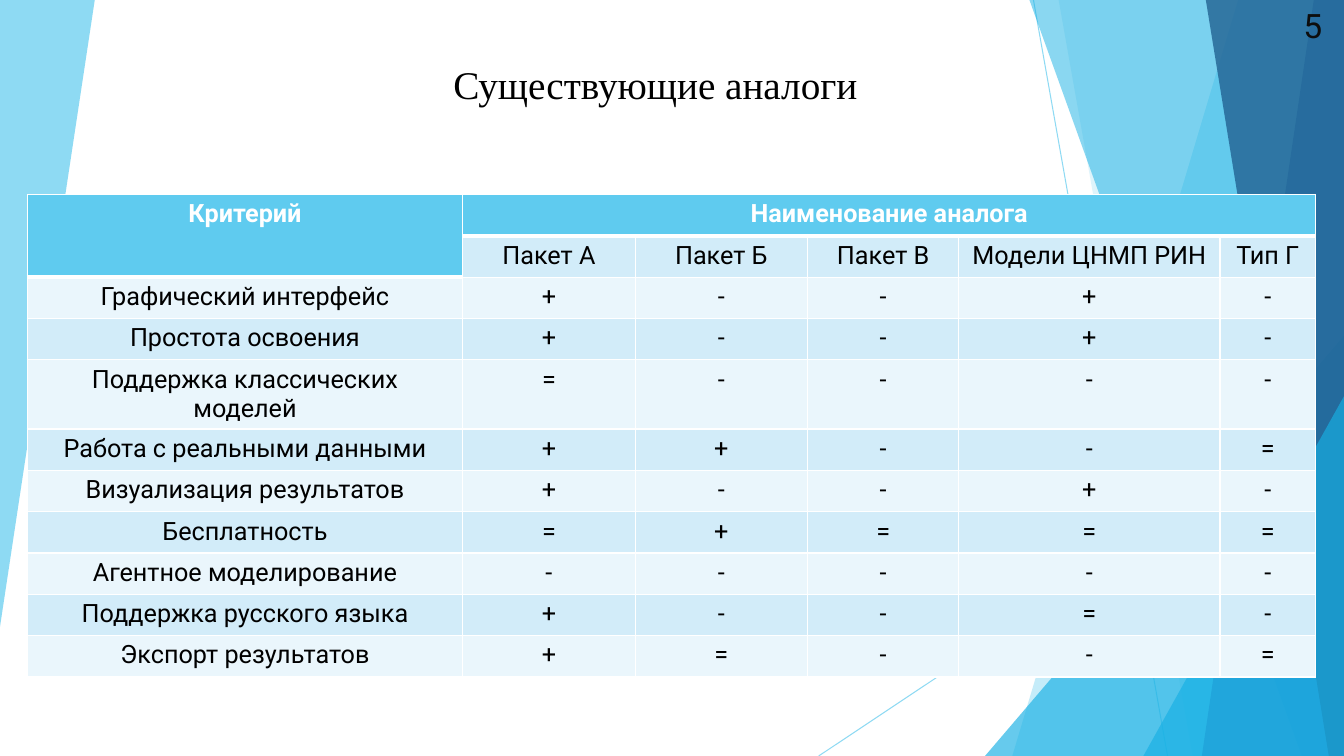
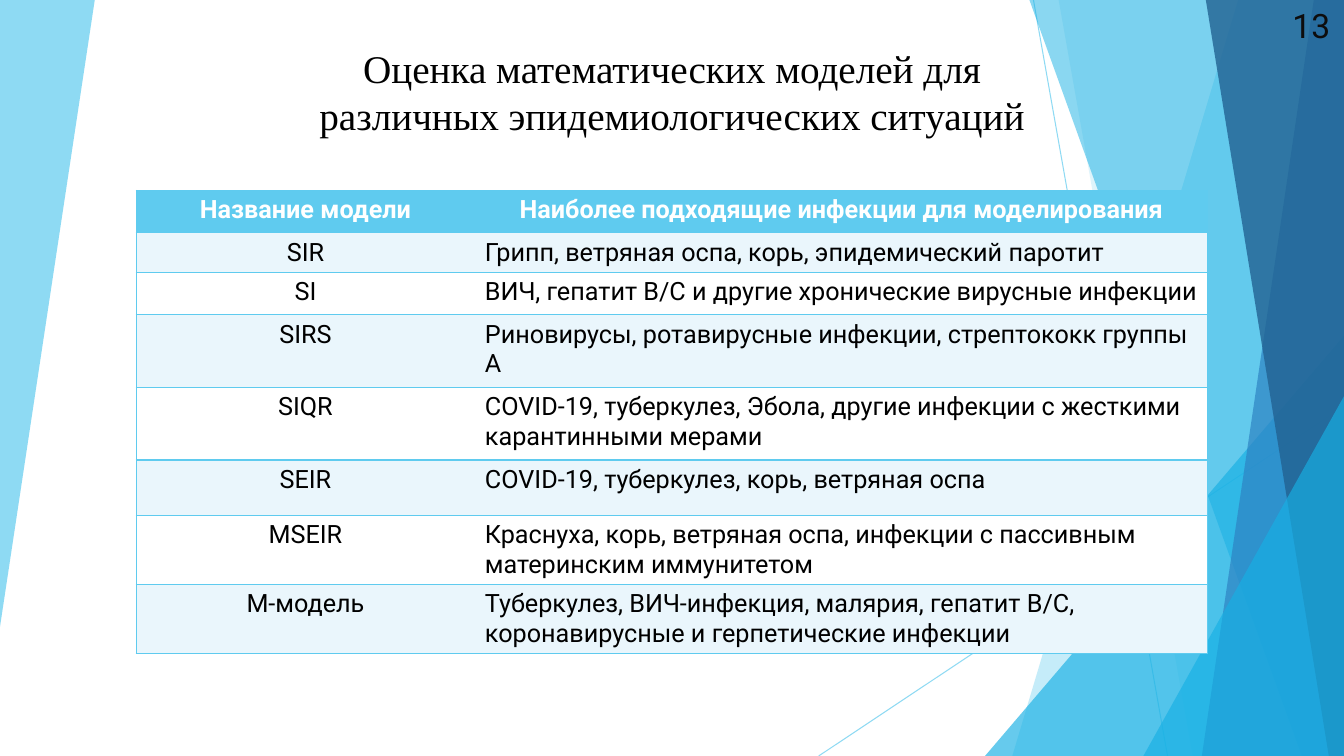
from lxml import etree
from pptx import Presentation, util as u
from pptx.dml.color import RGBColor
from pptx.enum import shapes, text
from pptx.oxml.ns import qn

SKY = RGBColor(0x5F, 0xCB, 0xEF)
AZURE = RGBColor(0x17, 0xB0, 0xE4)
BLUE = RGBColor(0x2E, 0x83, 0xC3)
NAVY = RGBColor(0x22, 0x62, 0x92)
ICE = RGBColor(0xEA, 0xF6, 0xFC)
MIST = RGBColor(0xD2, 0xEC, 0xF9)
WHITE = RGBColor(0xFF, 0xFF, 0xFF)
BLACK = RGBColor(0, 0, 0)
INK = RGBColor(0x0D, 0x0D, 0x0D)
TITLE_FONT, BODY_FONT = "Times New Roman", "Roboto"
W, H = 13.33, 7.5

# Background facets, back to front: kind, geometry, colour, opacity in percent
FACETS = [
    ("free", [(0, 0), (0.94, 0), (0, 6.22)], SKY, 70),
    ("line", [(10.25, 0), (11.58, H)], SKY, 70),
    ("line", [(W, 4.03), (8.12, H)], SKY, 70),
    ("free", [(12.28, 0), (W, 0), (W, H), (10.04, H)], SKY, 36),
    ("free", [(10.5, 0), (W, 0), (W, H), (11.83, H)], SKY, 20),
    ("triangle", (9.77, 3.33), AZURE, 66),
    ("free", [(10.21, 0), (W, 0), (W, H), (12.91, H)], AZURE, 50),
    ("free", [(13.03, 0), (W, 0), (W, H), (11.92, H)], BLUE, 70),
    ("free", [(11.96, 0), (W, 0), (W, H), (13.18, H)], NAVY, 80),
    ("triangle", (11.34, 3.93), AZURE, 66),
]

# Analogues: criterion and one mark per product
PRODUCTS = ["Пакет А", "Пакет Б", "Пакет В", "Модели ЦНМП РИН", "Тип Г"]
CRITERIA = [
    ("Графический интерфейс", "+--+-"),
    ("Простота освоения", "+--+-"),
    ("Поддержка классических моделей", "=----"),
    ("Работа с реальными данными", "++--="),
    ("Визуализация результатов", "+--+-"),
    ("Бесплатность", "=+==="),
    ("Агентное моделирование", "-----"),
    ("Поддержка русского языка", "+--=-"),
    ("Экспорт результатов", "+=--="),
]
MODELS = [
    ("Название модели", "Наиболее подходящие инфекции для моделирования"),
    ("SIR", "Грипп, ветряная оспа, корь, эпидемический паротит"),
    ("SI", "ВИЧ, гепатит B/C и другие хронические вирусные инфекции"),
    ("SIRS", "Риновирусы, ротавирусные инфекции, стрептококк группы A"),
    ("SIQR", "COVID-19, туберкулез, Эбола, другие инфекции с жесткими "
             "карантинными мерами"),
    ("SEIR", "COVID-19, туберкулез, корь, ветряная оспа"),
    ("MSEIR", "Краснуха, корь, ветряная оспа, инфекции с пассивным "
              "материнским иммунитетом"),
    ("M-модель", "Туберкулез, ВИЧ-инфекция, малярия, гепатит B/C, "
                 "коронавирусные и герпетические инфекции"),
]


def inches(*values):
    return [u.Inches(v) for v in values]


def set_alpha(sp, percent):
    clr = next(sp.element.spPr.iter(qn("a:srgbClr")))
    etree.SubElement(clr, qn("a:alpha")).set("val", str(percent * 1000))


def add_facet(slide, kind, geometry, color, opacity):
    if kind == "line":
        (x1, y1), (x2, y2) = geometry
        sp = slide.shapes.add_connector(
            shapes.MSO_CONNECTOR.STRAIGHT, *inches(x1, y1, x2, y2))
        sp.line.color.rgb = color
        sp.line.width = u.Pt(0.75)
        etree.SubElement(sp.element.spPr, qn("a:effectLst"))
    else:
        if kind == "free":
            points = [inches(*pt) for pt in geometry]
            fb = slide.shapes.build_freeform(*points[0])
            fb.add_line_segments(points[1:])
            sp = fb.convert_to_shape()
        else:  # right-leaning triangle filling the lower right corner
            x, y = geometry
            sp = slide.shapes.add_shape(
                shapes.MSO_SHAPE.ISOSCELES_TRIANGLE, *inches(x, y, W - x, H - y))
            sp.adjustments[0] = 1
        sp.shadow.inherit = False
        sp.fill.solid()
        sp.fill.fore_color.rgb = color
        sp.line.fill.background()
    set_alpha(sp, opacity)
    return sp


def fill_layout(layout, slide):
    """Draw the facets once and hand them to the shared layout."""
    for i, facet in enumerate(FACETS):
        el = add_facet(slide, *facet).element
        next(el.iter(qn("p:cNvPr"))).set("id", str(100 + i))
        layout.shapes.element.append(el)


def style(p, font, size, color, bold=False, align=text.PP_ALIGN.LEFT):
    p.alignment = align
    for r in p.runs:
        r.font.name, r.font.size, r.font.bold = font, u.Pt(size), bold
        r.font.color.rgb = color


def add_text(slide, box, words, font, size, color, align=text.PP_ALIGN.LEFT):
    tf = slide.shapes.add_textbox(*inches(*box)).text_frame
    tf.word_wrap = True
    tf.text = words
    style(tf.paragraphs[0], font, size, color, align=align)


def add_heading(slide, title, title_box, number, number_left):
    add_text(slide, title_box, title, TITLE_FONT, 28, BLACK, text.PP_ALIGN.CENTER)
    add_text(slide, (number_left, 0, W - number_left, 0.5), number,
             BODY_FONT, 24, INK)


def set_border(cell, side, color, width):
    ln = etree.SubElement(cell._tc.get_or_add_tcPr(), qn("a:ln" + side))
    ln.set("w", str(u.Pt(width)))
    if width:
        fill = etree.SubElement(ln, qn("a:solidFill"))
        etree.SubElement(fill, qn("a:srgbClr")).set("val", str(color))
    else:
        etree.SubElement(ln, qn("a:noFill"))


def add_grid(slide, at, cols, heights, rows, look, line_color, border):
    """look(r, c) -> fill, is_head, align; border(r, c) -> L, R, T, B widths."""
    table = slide.shapes.add_table(
        len(rows), len(cols), *inches(*at, sum(cols), sum(heights))).table
    table.first_row = table.horz_banding = False
    for col, width in zip(table.columns, cols):
        col.width = u.Inches(width)
    for r, (row, height) in enumerate(zip(rows, heights)):
        table.rows[r].height = u.Inches(height)
        for c, words in enumerate(row):
            cell = table.cell(r, c)
            fill, head, align = look(r, c)
            for side, width in zip("LRTB", border(r, c)):
                set_border(cell, side, line_color, width)
            cell.fill.solid()
            cell.fill.fore_color.rgb = fill
            cell.text = words
            style(cell.text_frame.paragraphs[0], BODY_FONT, 18,
                  WHITE if head else BLACK, head, align)
    return table


def analogues_look(r, c):
    head = r == 0 or (r == 1 and c == 0)
    fill = SKY if head else (MIST if r % 2 else ICE)
    return fill, head, text.PP_ALIGN.CENTER


def analogues_border(r, c):
    head_end = 1 if c == 0 else 0  # last header row in this column
    return 1, 1, 3 if r == head_end + 1 else 1, 3 if r == head_end else 1


def models_look(r, c):
    fill = SKY if r == 0 else (ICE if r % 2 else WHITE)
    centred = r == 0 or c == 0
    return fill, r == 0, text.PP_ALIGN.CENTER if centred else text.PP_ALIGN.LEFT


def models_border(r, c):
    return 1 - c, c, 1, 1


def main():
    prs = Presentation()
    prs.slide_width, prs.slide_height = inches(W, H)
    layout = prs.slide_layouts[6]
    analogues, models = [prs.slides.add_slide(layout) for _ in range(2)]
    fill_layout(layout, analogues)

    # Existing analogues
    rows = [["Критерий", "Наименование аналога"] + [""] * 4, [""] + PRODUCTS]
    rows += [[name, *marks] for name, marks in CRITERIA]
    table = add_grid(analogues, (0.27, 1.93), [4.32, 1.71, 1.71, 1.5, 2.59, 0.95],
                     [0.41] * len(rows), rows, analogues_look, WHITE,
                     analogues_border)
    table.cell(0, 0).merge(table.cell(1, 0))
    table.cell(0, 1).merge(table.cell(0, 5))
    add_heading(analogues, "Существующие аналоги", (3.16, 0.55, 6.68, 0.57),
                "5", 12.83)

    # Models and the infections they suit
    add_grid(models, (1.35, 1.89), [3.36, 7.27],
             [0.42, 0.35, 0.42, 0.72, 0.72, 0.55, 0.55, 0.55], MODELS,
             models_look, SKY, models_border)
    add_heading(models, "Оценка математических моделей для различных "
                "эпидемиологических ситуаций", (3, 0.39, 7.33, 1.04), "13", 12.72)
    prs.save("out.pptx")


if __name__ == "__main__":
    main()
